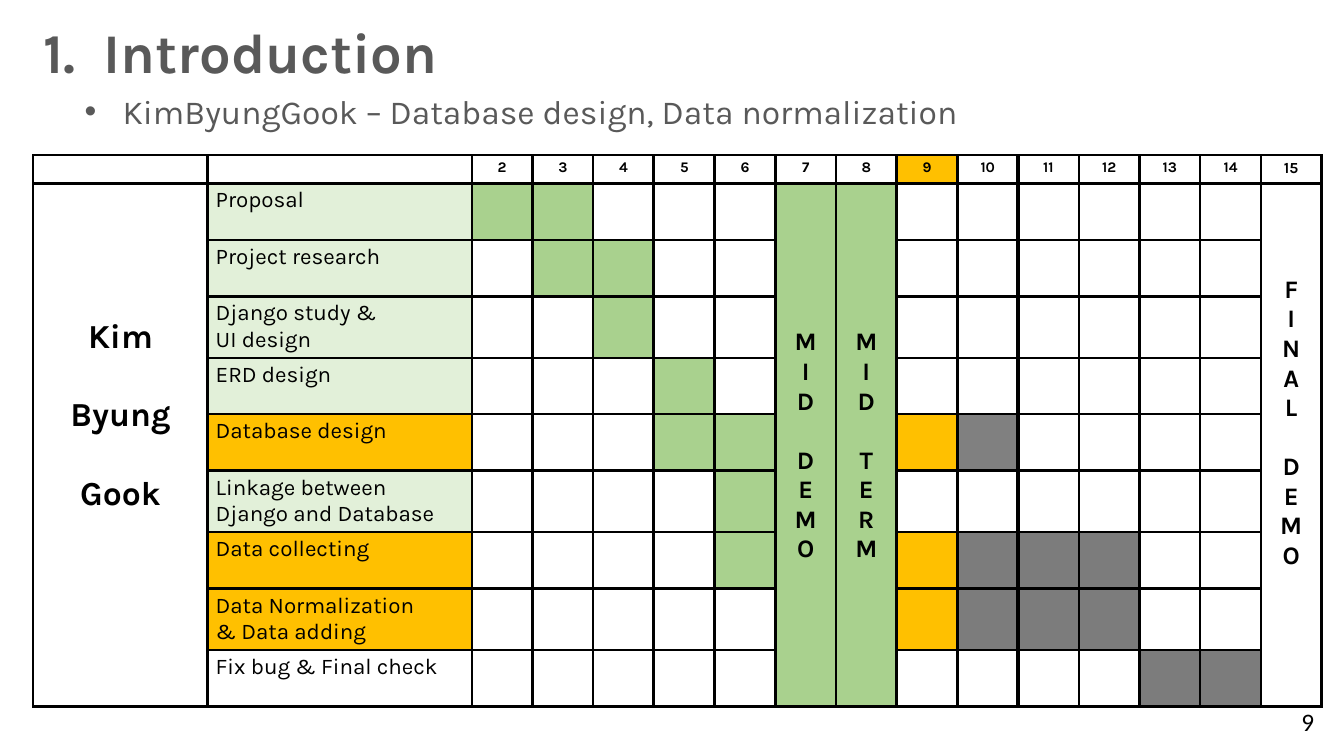
"""Build the Introduction slide with a weekly task schedule."""
from collections.abc import Sequence
from dataclasses import dataclass

from lxml.etree import SubElement
from pptx import Presentation
from pptx.dml.color import RGBColor
from pptx.enum.text import MSO_ANCHOR, MSO_AUTO_SIZE, PP_ALIGN
from pptx.oxml import parse_xml
from pptx.oxml.ns import nsdecls, qn
from pptx.table import Table, _Cell
from pptx.text.text import TextFrame
from pptx.util import Inches, Pt


@dataclass(frozen=True)
class Theme:
    font: str = "Karla"
    number_font: str = "Calibri"
    heading: str = "595959"
    ink: str = "000000"
    blank: str = "FFFFFF"
    finished: str = "E2F0D9"
    done: str = "A9D18E"
    current: str = "FFC000"
    planned: str = "7C7C7C"
    planned_light: str = "808080"
    title_size: float = 40
    large_size: float = 24
    demo_size: float = 18
    label_size: float = 16
    final_week_size: float = 11
    week_size: float = 10.5
    border: float = 1.98
    thick_border: float = 2.55


THEME = Theme()


@dataclass(frozen=True)
class Style:
    size: float
    bold: bool = False
    color: str = THEME.ink
    align: PP_ALIGN = PP_ALIGN.LEFT
    gap: float = 0
    font: str = THEME.font


@dataclass(frozen=True)
class Bar:
    first: int
    last: int
    color: str


@dataclass(frozen=True)
class Task:
    label: tuple[str, ...]
    color: str
    bars: tuple[Bar, ...]
    height: float = 0.56


@dataclass(frozen=True)
class Span:
    column: int
    groups: Sequence[Sequence[str]]
    style: Style
    color: str
    top: float = 0.06
    anchor: MSO_ANCHOR = MSO_ANCHOR.TOP


TITLE = Style(THEME.title_size, True, THEME.heading)
SUBTITLE = Style(THEME.large_size, color=THEME.heading)
LABEL = Style(THEME.label_size)
WEEK = Style(THEME.week_size, True, align=PP_ALIGN.CENTER)
FINAL_WEEK = Style(THEME.final_week_size, True, align=PP_ALIGN.CENTER)
MEMBER = Style(THEME.large_size, True, align=PP_ALIGN.CENTER, gap=28)
DEMO = Style(THEME.demo_size, True, align=PP_ALIGN.CENTER, gap=21)
PAGE = Style(THEME.demo_size, font=THEME.number_font)

WEEKS = range(2, 16)
CURRENT_WEEK = 9
THICK_AFTER = (4, 10)
FIRST_WEEK_COLUMN = 2
TABLE_WIDTH, MEMBER_WIDTH, LABEL_WIDTH = 12.78, 1.73, 2.62
HEADER_HEIGHT, TALL = 0.28, 0.61

TASKS = (
    Task(("Proposal",), THEME.finished, (Bar(2, 3, THEME.done),)),
    Task(("Project research",), THEME.finished, (Bar(3, 4, THEME.done),)),
    Task(("Django study &", "UI design"), THEME.finished, (Bar(4, 4, THEME.done),), TALL),
    Task(("ERD design",), THEME.finished, (Bar(5, 5, THEME.done),)),
    Task(("Database design",), THEME.current,
         (Bar(5, 6, THEME.done), Bar(9, 9, THEME.current), Bar(10, 10, THEME.planned_light))),
    Task(("Linkage between Django and Database",), THEME.finished,
         (Bar(6, 6, THEME.done),), TALL),
    Task(("Data collecting",), THEME.current,
         (Bar(6, 6, THEME.done), Bar(9, 9, THEME.current), Bar(10, 12, THEME.planned))),
    Task(("Data Normalization", "& Data adding"), THEME.current,
         (Bar(9, 9, THEME.current), Bar(10, 12, THEME.planned)), TALL),
    Task(("Fix bug & Final check",), THEME.blank, (Bar(13, 14, THEME.planned),)),
)
SPANS = (
    Span(0, (("Kim",), ("Byung",), ("Gook",)), MEMBER, THEME.blank, top=1.33),
    Span(7, ("MID", "DEMO"), DEMO, THEME.done, anchor=MSO_ANCHOR.MIDDLE),
    Span(8, ("MID", "TERM"), DEMO, THEME.done, anchor=MSO_ANCHOR.MIDDLE),
    Span(15, ("FINAL", "DEMO"), DEMO, THEME.blank, top=0.91),
)


def write(frame: TextFrame, groups: Sequence[Sequence[str]], style: Style) -> None:
    """Write one paragraph per line, with a gap before each later group."""
    paragraph = frame.paragraphs[0]
    for group_index, group in enumerate(groups):
        for line_index, line in enumerate(group):
            if group_index or line_index:
                paragraph = frame.add_paragraph()
            paragraph.text = line
            paragraph.alignment = style.align
            starts_group = group_index and not line_index
            paragraph.space_before = Pt(style.gap if starts_group else 0)
            paragraph.font.name = style.font
            paragraph.font.size = Pt(style.size)
            paragraph.font.bold = style.bold
            paragraph.font.color.rgb = RGBColor.from_string(style.color)


def place(shape, box: tuple[float, float, float, float], text: str, style: Style) -> None:
    """Move a text shape to its box and write its text."""
    shape.left, shape.top, shape.width, shape.height = map(Inches, box)
    shape.text_frame.word_wrap = True
    shape.text_frame.auto_size = MSO_AUTO_SIZE.NONE
    shape.text_frame.vertical_anchor = MSO_ANCHOR.TOP
    write(shape.text_frame, ((text,),), style)


def set_borders(cell: _Cell, week: int) -> None:
    """Outline a cell, thicker beside the marked weeks."""
    properties = cell._tc.get_or_add_tcPr()
    thick = {"L": week - 1 in THICK_AFTER, "R": week in THICK_AFTER}
    for index, side in enumerate("LRTB"):
        width = Pt(THEME.thick_border if thick.get(side) else THEME.border)
        line = parse_xml(f'<a:ln{side} {nsdecls("a")} w="{width}"/>')
        color = SubElement(SubElement(line, qn("a:solidFill")), qn("a:srgbClr"))
        color.set("val", THEME.ink)
        properties.insert(index, line)


def format_cell(table: Table, row: int, column: int, color: str,
                groups: Sequence[Sequence[str]] = (("",),), style: Style = WEEK) -> None:
    """Fill, outline and write one cell."""
    cell = table.cell(row, column)
    cell.margin_left = cell.margin_right = Inches(0.08)
    cell.margin_top = cell.margin_bottom = Inches(0.04)
    cell.fill.solid()
    cell.fill.fore_color.rgb = RGBColor.from_string(color)
    set_borders(cell, column - FIRST_WEEK_COLUMN + WEEKS[0])
    write(cell.text_frame, groups, style)


def draw_schedule(shapes) -> None:
    """Draw the task table with its weekly bars and merged columns."""
    heights = [HEADER_HEIGHT, *(task.height for task in TASKS)]
    week_width = (TABLE_WIDTH - MEMBER_WIDTH - LABEL_WIDTH) / len(WEEKS)
    widths = [MEMBER_WIDTH, LABEL_WIDTH, *[week_width] * len(WEEKS)]
    table = shapes.add_table(len(heights), len(widths), Inches(0.33), Inches(1.54),
                             Inches(TABLE_WIDTH), Inches(sum(heights))).table
    table.first_row = table.horz_banding = False
    for column, width in zip(table.columns, widths):
        column.width = Inches(width)
    for row, height in zip(table.rows, heights):
        row.height = Inches(height)

    for column in range(FIRST_WEEK_COLUMN):
        format_cell(table, 0, column, THEME.blank)
    for column, week in enumerate(WEEKS, FIRST_WEEK_COLUMN):
        color = THEME.current if week == CURRENT_WEEK else THEME.blank
        style = FINAL_WEEK if week == WEEKS[-1] else WEEK
        format_cell(table, 0, column, color, ((str(week),),), style)

    spans = {span.column: span for span in SPANS}
    for row, task in enumerate(TASKS, 1):
        format_cell(table, row, 1, task.color, (task.label,), LABEL)
        for column, week in enumerate(WEEKS, FIRST_WEEK_COLUMN):
            if column not in spans:
                color = next((bar.color for bar in task.bars
                              if bar.first <= week <= bar.last), THEME.blank)
                format_cell(table, row, column, color)
    for column, span in spans.items():
        for row in range(2, len(heights)):
            format_cell(table, row, column, span.color)
        format_cell(table, 1, column, span.color, span.groups, span.style)
        cell = table.cell(1, column)
        cell.margin_top = Inches(span.top)
        cell.vertical_anchor = span.anchor
        cell.merge(table.cell(len(TASKS), column))


def main() -> None:
    """Create and save the presentation."""
    deck = Presentation()
    deck.slide_width, deck.slide_height = Inches(13.33), Inches(7.5)
    slide = deck.slides.add_slide(deck.slide_layouts[1])
    place(slide.shapes.title, (0.33, 0.12, 6.12, 0.77), "1.  Introduction", TITLE)
    place(slide.placeholders[1], (0.74, 0.85, 12.59, 0.5),
          "KimByungGook – Database design, Data normalization", SUBTITLE)
    draw_schedule(slide.shapes)
    page = slide.shapes.add_textbox(0, 0, 0, 0)
    place(page, (12.81, 6.96, 0.33, 0.4), "9", PAGE)
    deck.save("out.pptx")


if __name__ == "__main__":
    main()
